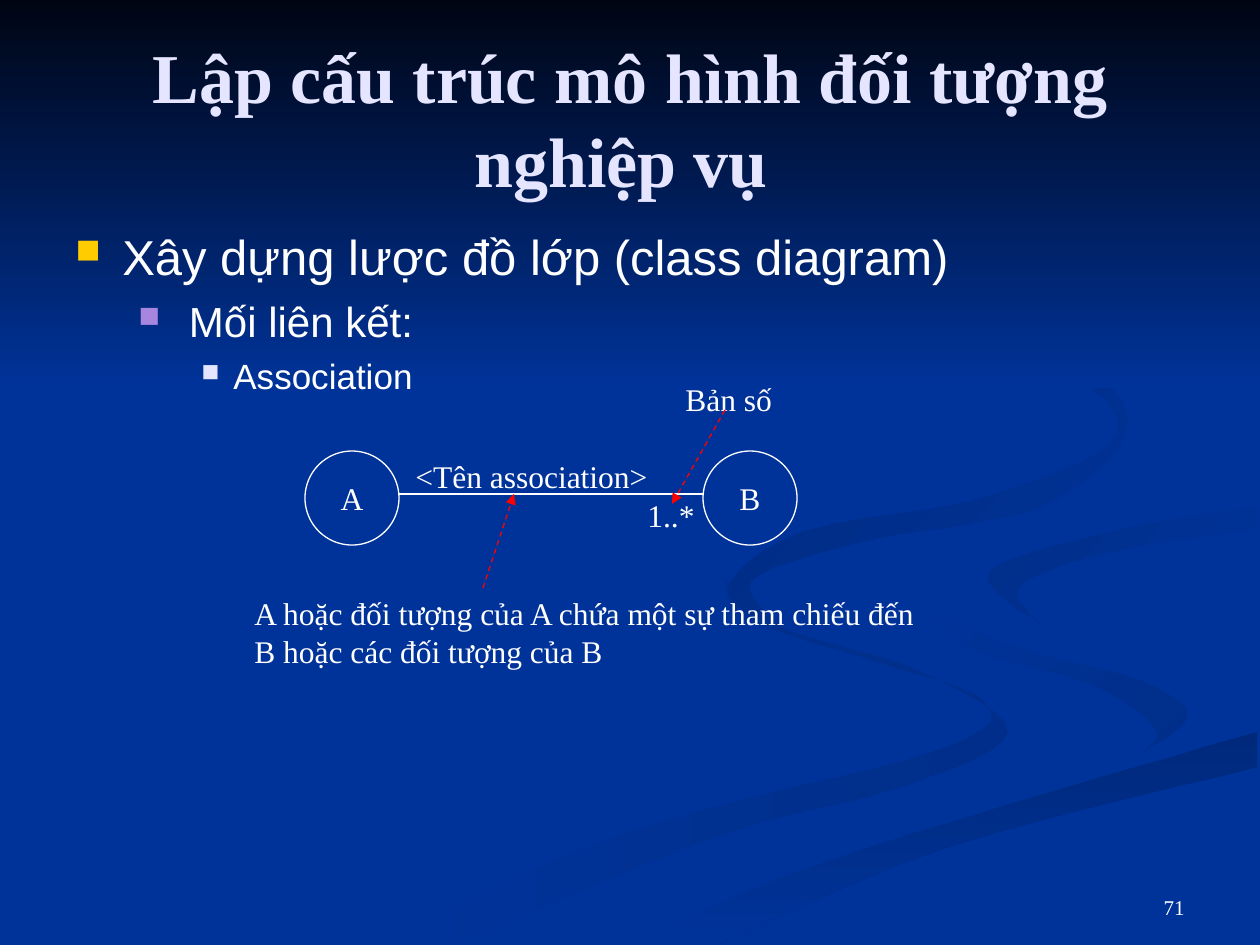
from lxml.etree import SubElement
from pptx import Presentation
from pptx.dml.color import RGBColor
from pptx.enum.dml import MSO_LINE_DASH_STYLE as Dash
from pptx.enum.shapes import MSO_CONNECTOR as Connector, MSO_SHAPE as Shape
from pptx.enum.text import MSO_ANCHOR as Anchor, MSO_AUTO_SIZE as AutoSize, PP_ALIGN as Align
from pptx.oxml.ns import qn
from pptx.util import Pt

PX = 914400 / 126  # EMU in one px
WIDTH, HEIGHT = 1260, 945
CURVE_STEPS = 6


class Theme:
    background, night = "003399", "000514"
    shade, deep_shade = "002E8A", "00297C"
    text, title, arrow = "FFFFFF", "E5E5FF", "FF0000"
    serif, sans = "Times New Roman", "Arial"
    title_size, label_size, number_size = 40, 18, 12
    line_width = 0.75


# Content: text
TITLE = "Lập cấu trúc mô hình đối tượng nghiệp vụ "
TITLE_BOX = (63, 38, 1134, 158)
BODY_BOX = (63, 220, 1134, 336)
# text, size, space before, left margin, hanging indent, bullet colour
BULLETS = [
    ("Xây dựng lược đồ lớp (class diagram)", 28, 0, 47, 47, "FFCC00"),
    (" Mối liên kết:", 24, 6, 102, 39, "A886E0"),
    ("Association", 20, 5, 158, 32, "E5E5FF"),
]
NUMBER, NUMBER_BOX = "71", (903, 861, 294, 65)

# Content: class diagram
CLASSES = [("A", (305, 451, 94, 94)), ("B", (703, 451, 94, 94))]
ASSOCIATION = (399, 494, 703, 494)
POINTERS = [(483, 588, 514, 494), (725, 410, 672, 504)]
LABELS = [
    ("<Tên association>", (403, 451, 292, 50)),
    ("1..*", (635, 490, 74, 50)),
    ("Bản số", (673, 374, 125, 50)),
]
NOTE = "A hoặc đối tượng của A chứa một sự tham chiếu đến B hoặc các đối tượng của B"
NOTE_BOX = (242, 588, 703, 88)

# Content: background ribbons, each outlined by smooth edges that meet at corners
BANK = [(634, 944), (794, 873), (1047, 793), (1257, 732)]
BEND = [(912, 585), (998, 641), (1140, 680), (1188, 718), (1126, 762)]
COVE = [(1257, 507), (1133, 527), (990, 571), (1041, 625)]
# first colour, last colour, clockwise angle, edges
RIBBONS = [
    (Theme.shade, Theme.background, 180, [
        [(378, 944), (629, 833), (944, 748), (984, 701), (878, 662), (747, 619), (725, 578)],
        [(725, 578), (774, 625), (921, 672), (1008, 732), (908, 785), (711, 838), (455, 944)]]),
    (Theme.shade, Theme.background, 225, [
        BEND, [(1126, 762), (1157, 732), (1094, 685), (965, 645), (912, 585)]]),
    (Theme.deep_shade, Theme.background, 90, [
        BANK, [(1257, 767), (948, 847), (719, 944)]]),
    (Theme.background, Theme.background, 90, [
        [(601, 944), (887, 825), (1126, 762)], BEND[::-1],
        [(912, 585), (1046, 523), (1257, 488)], COVE, [(1257, 678)], BANK[::-1]]),
    (Theme.background, Theme.shade, 225, [
        COVE, [(1041, 625), (1019, 587), (1106, 553), (1257, 529)]]),
    (Theme.background, Theme.deep_shade, 225, [
        [(960, 294), (1089, 367), (1126, 433), (1040, 507), (861, 542), (751, 581), (784, 630)],
        [(784, 630), (728, 590), (803, 532), (997, 494), (1119, 421), (960, 294)]]),
]
SKY_HEIGHT = 388


def emu(lengths):
    return [round(length * PX) for length in lengths]


def rgb(color):
    return RGBColor.from_string(color)


def smooth(edge):
    """Points of a Catmull-Rom curve through the points of an edge."""
    padded = [edge[0], *edge, edge[-1]]
    curve = []
    for knots in zip(padded, padded[1:], padded[2:], padded[3:]):
        for step in range(CURVE_STEPS):
            t = step / CURVE_STEPS
            curve.append(tuple(
                b + t / 2 * (c - a + t * (2 * a - 5 * b + 4 * c - d + t * (3 * (b - c) + d - a)))
                for a, b, c, d in zip(*knots)))
    return curve + [edge[-1]]


def style(paragraph, size, color=Theme.text, name=Theme.serif, bold=False):
    font = paragraph.font
    font.size, font.name, font.bold = Pt(size), name, bold
    font.color.rgb = rgb(color)


def add_text(slide, text, box, size=Theme.label_size, color=Theme.text, bold=False,
             align=Align.LEFT, anchor=Anchor.TOP, wrap=True):
    frame = slide.shapes.add_textbox(*emu(box)).text_frame
    frame.text, frame.word_wrap, frame.vertical_anchor = text, wrap, anchor
    frame.auto_size = AutoSize.NONE if wrap else AutoSize.SHAPE_TO_FIT_TEXT
    frame.paragraphs[0].alignment = align
    style(frame.paragraphs[0], size, color, bold=bold)


def fill_gradient(shape, first, last, angle):
    shape.shadow.inherit = False
    shape.line.fill.background()
    shape.fill.gradient()
    shape.fill.gradient_angle = 360 - angle
    for stop, color in zip(shape.fill.gradient_stops, (first, last)):
        stop.color.rgb = rgb(color)


def add_ribbon(slide, first, last, angle, edges):
    points = [point for edge in edges for point in smooth(edge)]
    builder = slide.shapes.build_freeform(*points[0], scale=PX)
    builder.add_line_segments(points[1:], close=True)
    fill_gradient(builder.convert_to_shape(), first, last, angle)


def add_bullets(slide):
    frame = slide.shapes.add_textbox(*emu(BODY_BOX)).text_frame
    frame.word_wrap = True
    for level, (text, size, before, margin, hang, color) in enumerate(BULLETS):
        paragraph = frame.add_paragraph() if level else frame.paragraphs[0]
        paragraph.text, paragraph.level = text, level
        paragraph.space_before = Pt(before)
        properties = paragraph._p.get_or_add_pPr()
        properties.set("marL", str(round(margin * PX)))
        properties.set("indent", str(round(-hang * PX)))
        SubElement(SubElement(properties, qn("a:buClr")), qn("a:srgbClr"), val=color)
        SubElement(properties, qn("a:buSzPct"), val="70000")
        SubElement(properties, qn("a:buChar"), char="■")
        style(paragraph, size, name=Theme.sans)


def add_class(slide, name, box):
    shape = slide.shapes.add_shape(Shape.OVAL, *emu(box))
    shape.shadow.inherit = False
    shape.fill.background()
    shape.line.color.rgb = rgb(Theme.text)
    shape.line.width = Pt(Theme.line_width)
    frame = shape.text_frame
    frame.text, frame.word_wrap, frame.vertical_anchor = name, False, Anchor.MIDDLE
    frame.paragraphs[0].alignment = Align.CENTER
    style(frame.paragraphs[0], Theme.label_size)


def add_line(slide, ends, color, arrow=False):
    connector = slide.shapes.add_connector(Connector.STRAIGHT, *emu(ends))
    connector.line.color.rgb = rgb(color)
    connector.line.width = Pt(Theme.line_width)
    if arrow:
        connector.line.dash_style = Dash.DASH
        SubElement(connector.line._get_or_add_ln(), qn("a:tailEnd"), type="triangle")
    SubElement(connector._element.spPr, qn("a:effectLst"))


def main():
    presentation = Presentation()
    presentation.slide_width, presentation.slide_height = emu((WIDTH, HEIGHT))
    slide = presentation.slides.add_slide(presentation.slide_layouts[6])

    # Background
    slide.background.fill.solid()
    slide.background.fill.fore_color.rgb = rgb(Theme.background)
    for ribbon in RIBBONS:
        add_ribbon(slide, *ribbon)
    sky = slide.shapes.add_shape(Shape.RECTANGLE, *emu((0, 0, WIDTH, SKY_HEIGHT)))
    fill_gradient(sky, Theme.night, Theme.background, 90)

    # Title and bullets
    add_text(slide, TITLE, TITLE_BOX, Theme.title_size, Theme.title, True,
             Align.CENTER, Anchor.MIDDLE)
    add_bullets(slide)

    # Class diagram
    for name, box in CLASSES:
        add_class(slide, name, box)
    add_line(slide, ASSOCIATION, Theme.text)
    add_text(slide, NOTE, NOTE_BOX)
    for text, box in LABELS:
        add_text(slide, text, box, wrap=False)
    for ends in POINTERS:
        add_line(slide, ends, Theme.arrow, arrow=True)

    # Slide number
    add_text(slide, NUMBER, NUMBER_BOX, Theme.number_size, align=Align.RIGHT, anchor=Anchor.BOTTOM)
    presentation.save("out.pptx")


if __name__ == "__main__":
    main()
